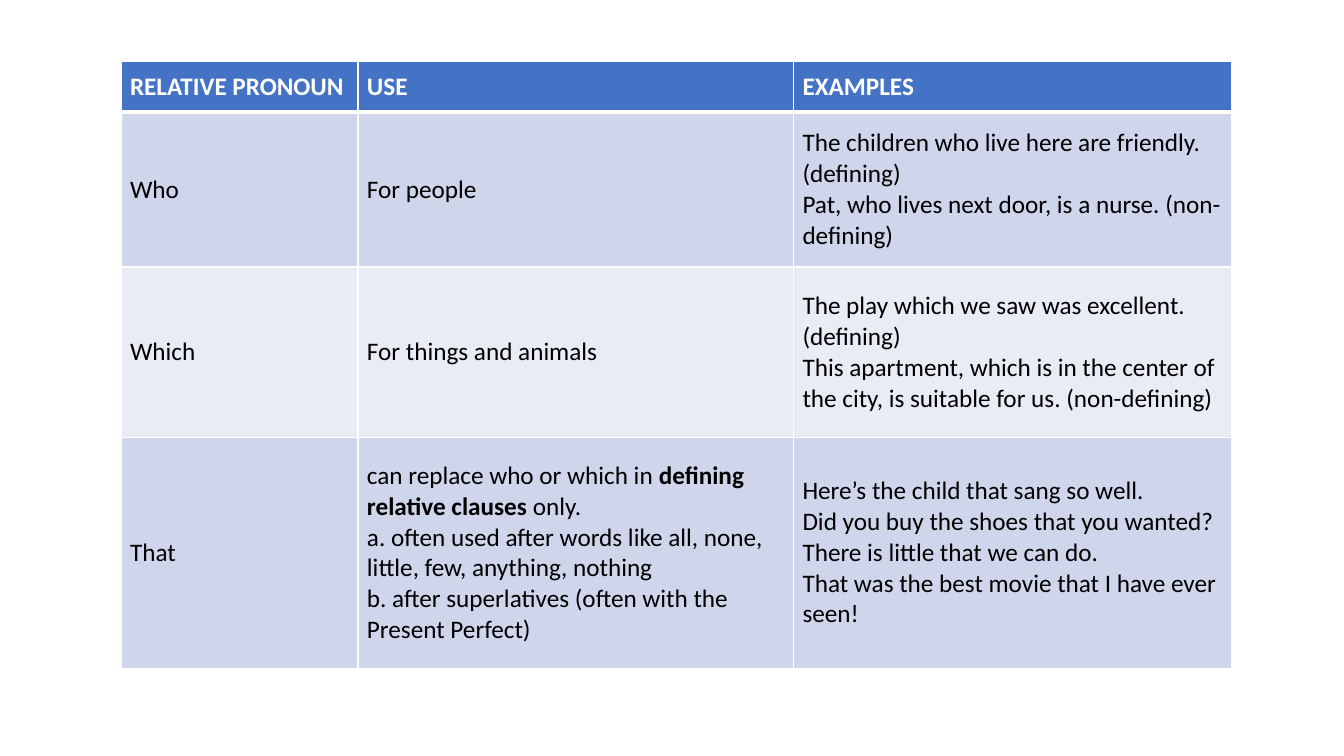
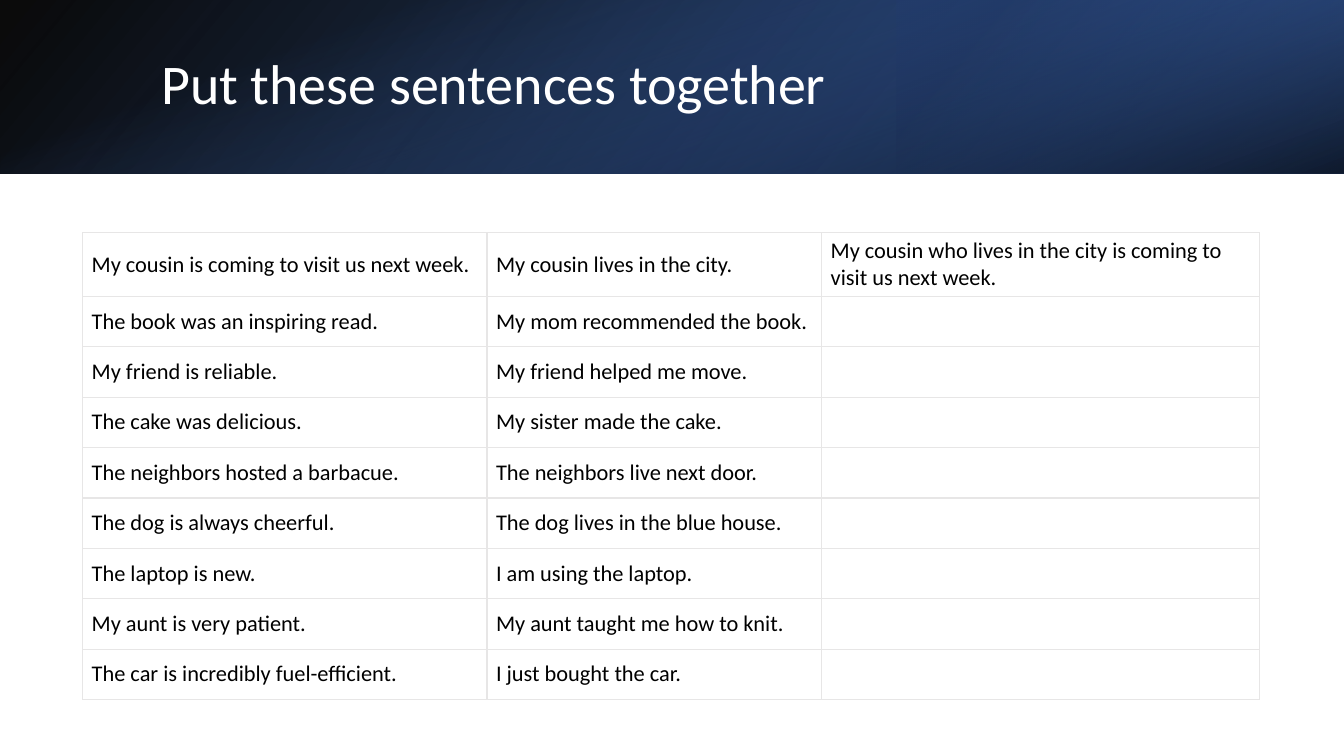
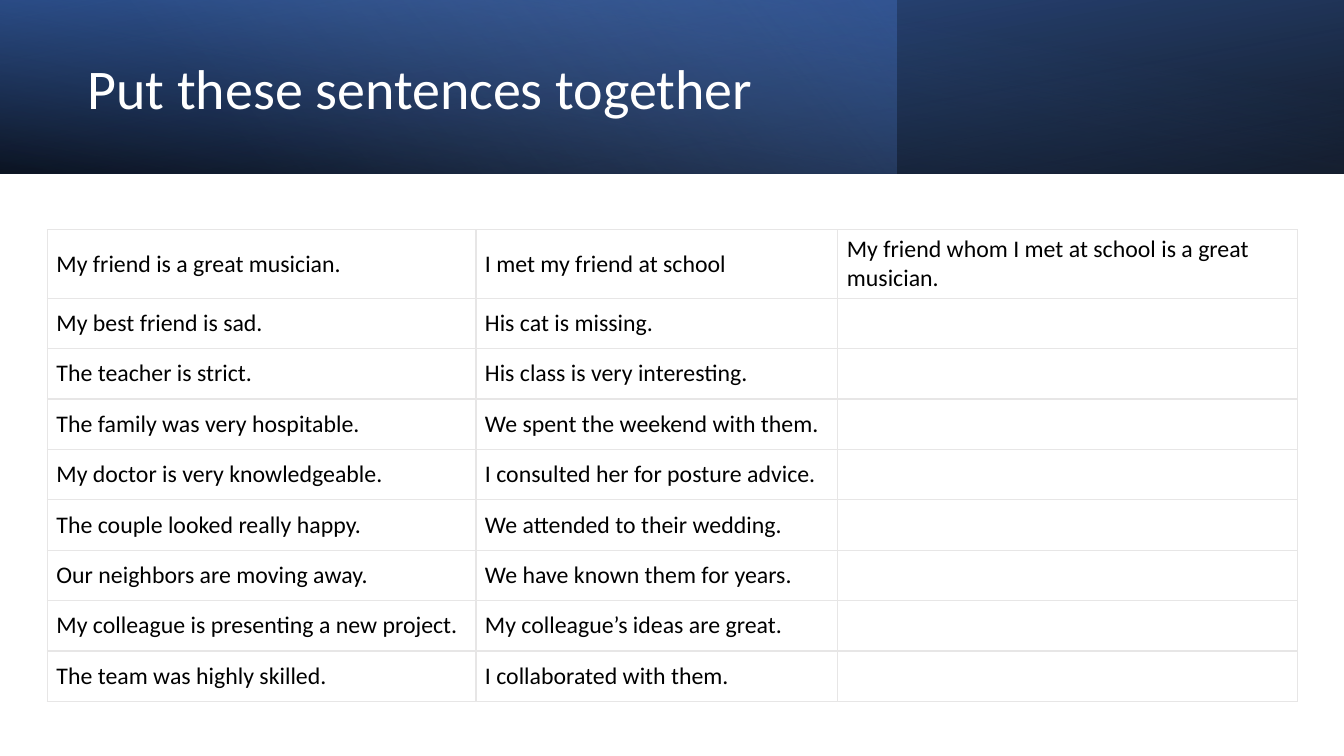
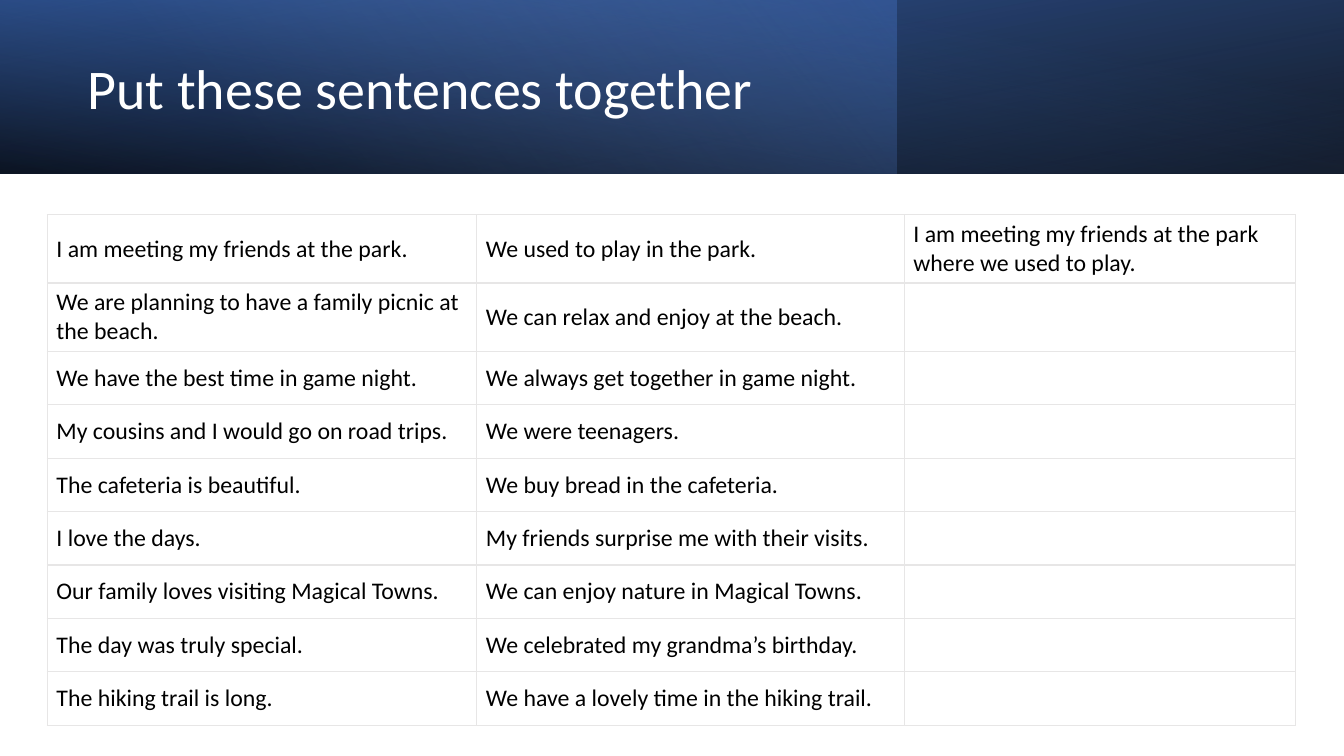
from lxml import etree
from pptx import Presentation
from pptx.dml.color import RGBColor
from pptx.enum import shapes, text
from pptx.oxml.ns import qn
from pptx.util import Inches, Pt

FONT = "Calibri"
WHITE = RGBColor(0xFF, 0xFF, 0xFF)
BLACK = RGBColor(0, 0, 0)
BLUE = RGBColor(0x44, 0x72, 0xC4)
DEEP = RGBColor(0x2F, 0x55, 0x97)
NAVY = RGBColor(0x20, 0x38, 0x64)
SKY = RGBColor(0x8F, 0xAA, 0xDC)
GRAY = RGBColor(0xE7, 0xE6, 0xE6)
TINTS = [RGBColor(0xCF, 0xD5, 0xEA), RGBColor(0xE9, 0xEB, 0xF5)]

WIDE, HIGH, BAND, PART = 13.33, 7.5, 1.72, 8.89
TITLE = "Put these sentences together"

BASE = [(0, BLACK, 96), (100, DEEP, 100)]
SWEEP = [
    dict(box=(0, 0, WIDE, BAND), stops=BASE, angle=140, flip=True),
    dict(box=(PART, 0, WIDE - PART, BAND), stops=[(19, NAVY, 68), (100, BLUE, 79)],
         angle=320, turn=180, flip=True),
    dict(box=((WIDE - BAND) / 2, (BAND - WIDE) / 2, BAND, WIDE),
         stops=[(23, BLUE, 0), (99, BLACK, 74)], angle=340, turn=90),
]
SPLIT = [
    dict(box=(0, 0, WIDE, BAND), stops=BASE, angle=100, turn=180, flip=True),
    dict(box=(0, 0, PART, BAND), stops=[(0, BLUE, 41), (74, SKY, 0)], angle=140),
    dict(box=(0, 0, WIDE, BAND), stops=[(0, BLACK, 63), (78, BLUE, 15)],
         angle=260, flip=True),
]

USES = [
    ("RELATIVE PRONOUN", "USE", "EXAMPLES"),
    ("Who", "For people",
     "The children who live here are friendly. (defining)\n"
     "Pat, who lives next door, is a nurse. (non-defining)"),
    ("Which", "For things and animals",
     "The play which we saw was excellent. (defining)\n"
     "This apartment, which is in the center of the city, is suitable for us. "
     "(non-defining)"),
    ("That",
     "can replace who or which in *defining relative clauses *only.\n"
     "a. often used after words like all, none, little, few, anything, nothing\n"
     "b. after superlatives (often with the Present Perfect)",
     "Here’s the child that sang so well.\n"
     "Did you buy the shoes that you wanted?\n"
     "There is little that we can do.\n"
     "That was the best movie that I have ever seen!"),
]
PEOPLE = [
    ("My cousin is coming to visit us next week.", "My cousin lives in the city.",
     "My cousin who lives in the city is coming to visit us next week."),
    ("The book was an inspiring read.", "My mom recommended the book."),
    ("My friend is reliable.", "My friend helped me move."),
    ("The cake was delicious.", "My sister made the cake."),
    ("The neighbors hosted a barbacue.", "The neighbors live next door."),
    ("The dog is always cheerful.", "The dog lives in the blue house."),
    ("The laptop is new.", "I am using the laptop."),
    ("My aunt is very patient.", "My aunt taught me how to knit."),
    ("The car is incredibly fuel-efficient.", "I just bought the car."),
]
FRIENDS = [
    ("My friend is a great musician.", "I met my friend at school",
     "My friend whom I met at school is a great musician."),
    ("My best friend is sad.", "His cat is missing."),
    ("The teacher is strict.", "His class is very interesting."),
    ("The family was very hospitable.", "We spent the weekend with them."),
    ("My doctor is very knowledgeable.", "I consulted her for posture advice."),
    ("The couple looked really happy.", "We attended to their wedding."),
    ("Our neighbors are moving away.", "We have known them for years."),
    ("My colleague is presenting a new project.", "My colleague’s ideas are great."),
    ("The team was highly skilled.", "I collaborated with them."),
]
PLACES = [
    ("I am meeting my friends at the park.", "We used to play in the park.",
     "I am meeting my friends at the park where we used to play."),
    ("We are planning to have a family picnic at the beach.",
     "We can relax and enjoy at the beach."),
    ("We have the best time in game night.", "We always get together in game night."),
    ("My cousins and I would go on road trips.", "We were teenagers."),
    ("The cafeteria is beautiful.", "We buy bread in the cafeteria."),
    ("I love the days.", "My friends surprise me with their visits."),
    ("Our family loves visiting Magical Towns.", "We can enjoy nature in Magical Towns."),
    ("The day was truly special.", "We celebrated my grandma’s birthday."),
    ("The hiking trail is long.", "We have a lovely time in the hiking trail."),
]


def write(frame, words, size=18, color=BLACK, bold=False, space=None):
    """Fill a frame, one paragraph a line, with bold between asterisks."""
    for num, line in enumerate(words.split("\n")):
        para = frame.add_paragraph() if num else frame.paragraphs[0]
        para.alignment = text.PP_ALIGN.LEFT
        para.line_spacing = space
        for turn, piece in enumerate(line.split("*")):
            run = para.add_run()
            run.text = piece
            run.font.name, run.font.size = FONT, Pt(size)
            run.font.color.rgb = color
            run.font.bold = bold or turn % 2 == 1


def tint(parent, color, alpha=100):
    """Add an RGB colour with its opacity to an XML parent."""
    node = etree.SubElement(parent, qn("a:srgbClr"), val=str(color))
    if alpha < 100:
        etree.SubElement(node, qn("a:alpha"), val=str(alpha * 1000))


def blend(slide, box, stops, angle, turn=0, flip=False):
    """Draw a rectangle with a translucent linear gradient."""
    rect = slide.shapes.add_shape(shapes.MSO_SHAPE.RECTANGLE, *map(Inches, box))
    rect.shadow.inherit = False
    rect.line.fill.background()
    rect.rotation = turn
    props = rect.element.spPr
    if flip:
        props.find(qn("a:xfrm")).set("flipH", "1")
    grad = etree.Element(qn("a:gradFill"), rotWithShape="1")
    stack = etree.SubElement(grad, qn("a:gsLst"))
    for place, color, alpha in stops:
        tint(etree.SubElement(stack, qn("a:gs"), pos=str(place * 1000)), color, alpha)
    etree.SubElement(grad, qn("a:lin"), ang=str(angle * 60000), scaled="0")
    props.find(qn("a:prstGeom")).addnext(grad)


def edge(cell, color, top=1, base=1):
    """Draw the four borders of a cell."""
    props = cell._tc.get_or_add_tcPr()
    for side, width in zip("LRTB", (1, 1, top, base)):
        line = etree.SubElement(props, qn("a:ln" + side), w=str(Pt(width)))
        tint(etree.SubElement(line, qn("a:solidFill")), color)


def grid(slide, rows, spot, cols, highs, size, pad=0.05, head=False):
    """Add a table, either plain or with a header and tinted rows."""
    area = map(Inches, (*spot, sum(cols), sum(highs)))
    table = slide.shapes.add_table(len(rows), len(cols), *area).table
    table.first_row = table.horz_banding = False
    for col, width in zip(table.columns, cols):
        col.width = Inches(width)
    for num, (row, high) in enumerate(zip(rows, highs)):
        table.rows[num].height = Inches(high)
        first = head and num == 0
        for pos in range(len(cols)):
            cell = table.cell(num, pos)
            cell.vertical_anchor = text.MSO_ANCHOR.MIDDLE
            cell.margin_left = cell.margin_right = Inches(0.09)
            cell.margin_top = cell.margin_bottom = Inches(pad)
            edge(cell, WHITE if head else GRAY,
                 top=3 if head and num == 1 else 1, base=3 if first else 1)
            if head:
                cell.fill.solid()
                cell.fill.fore_color.rgb = BLUE if first else TINTS[(num - 1) % 2]
            else:
                cell.fill.background()
            if pos < len(row):
                write(cell.text_frame, row[pos], size=size,
                      color=WHITE if first else BLACK, bold=first)


def banner(deck, bands, box):
    """Add a slide with gradient bands under its title."""
    slide = deck.slides.add_slide(deck.slide_layouts[5])
    for band in bands:
        blend(slide, **band)
    title = slide.shapes.title
    title.left, title.top, title.width, title.height = map(Inches, box)
    title.element.getparent().append(title.element)
    frame = title.text_frame
    frame.word_wrap = True
    frame.auto_size = text.MSO_AUTO_SIZE.NONE
    frame.vertical_anchor = text.MSO_ANCHOR.MIDDLE
    write(frame, TITLE, size=40, color=WHITE, space=0.9)
    return slide


def main():
    """Build the deck and save it."""
    deck = Presentation()
    deck.slide_width, deck.slide_height = Inches(WIDE), Inches(HIGH)

    slide = deck.slides.add_slide(deck.slide_layouts[6])
    grid(slide, USES, (1.2, 0.61), (2.35, 4.32, 4.35), (0.5, 1.54, 1.69, 2.29),
         size=18, head=True)

    slide = banner(deck, SWEEP, (1.5, 0.38, 10.98, 0.96))
    grid(slide, PEOPLE, (0.82, 2.31), (4.01, 3.32, 4.34), [0.63] + [0.5] * 8,
         size=16, pad=0.04)

    spot = (0.77, 0.27, 7.72, 1.27)
    slide = banner(deck, SPLIT, spot)
    grid(slide, FRIENDS, (0.47, 2.28), (4.25, 3.59, 4.56), [0.67] + [0.5] * 8, size=17)

    slide = banner(deck, SPLIT, spot)
    grid(slide, PLACES, (0.47, 2.13), (4.26, 4.24, 3.88), [0.67] * 2 + [0.53] * 7,
         size=17)

    deck.save("out.pptx")


if __name__ == "__main__":
    main()
